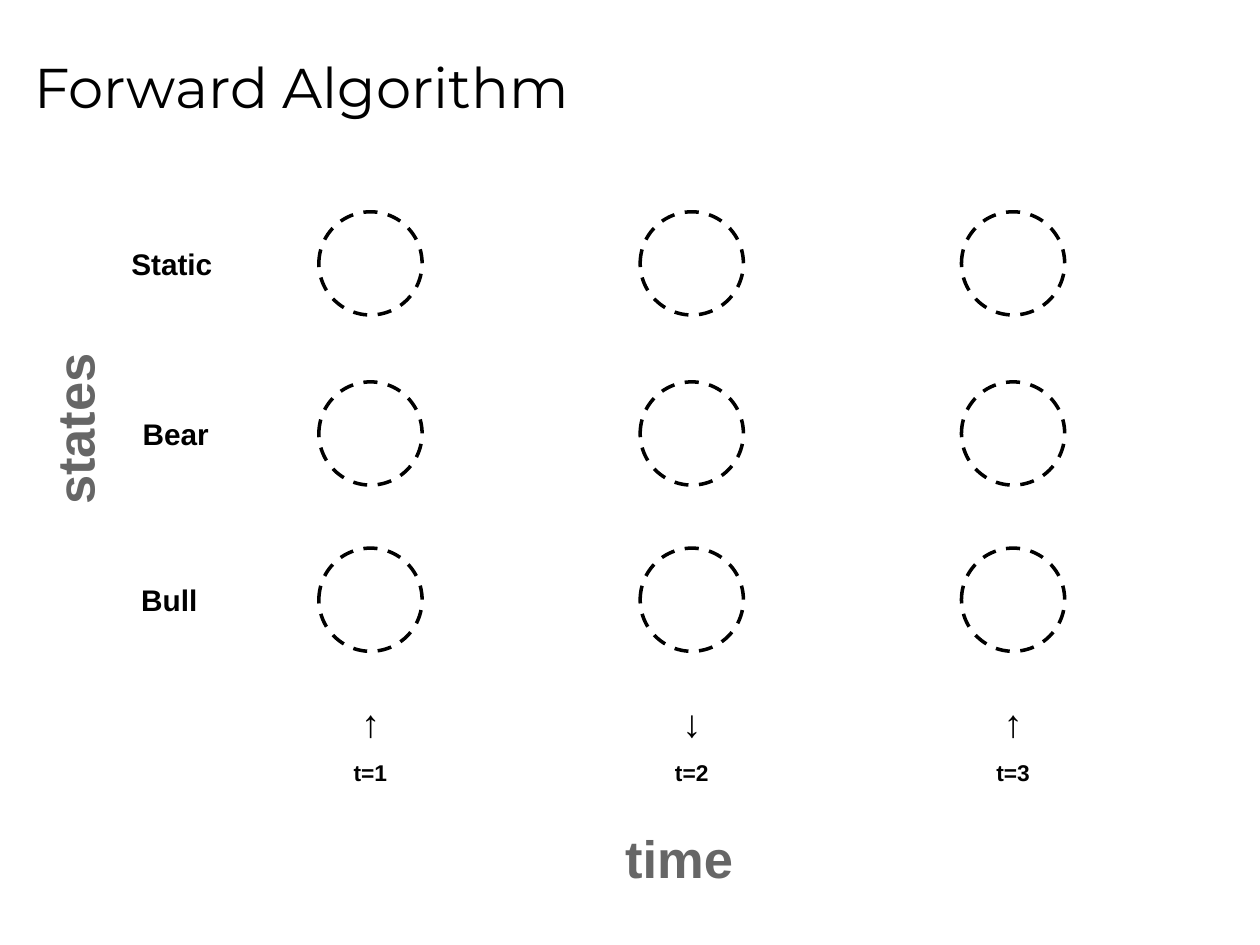
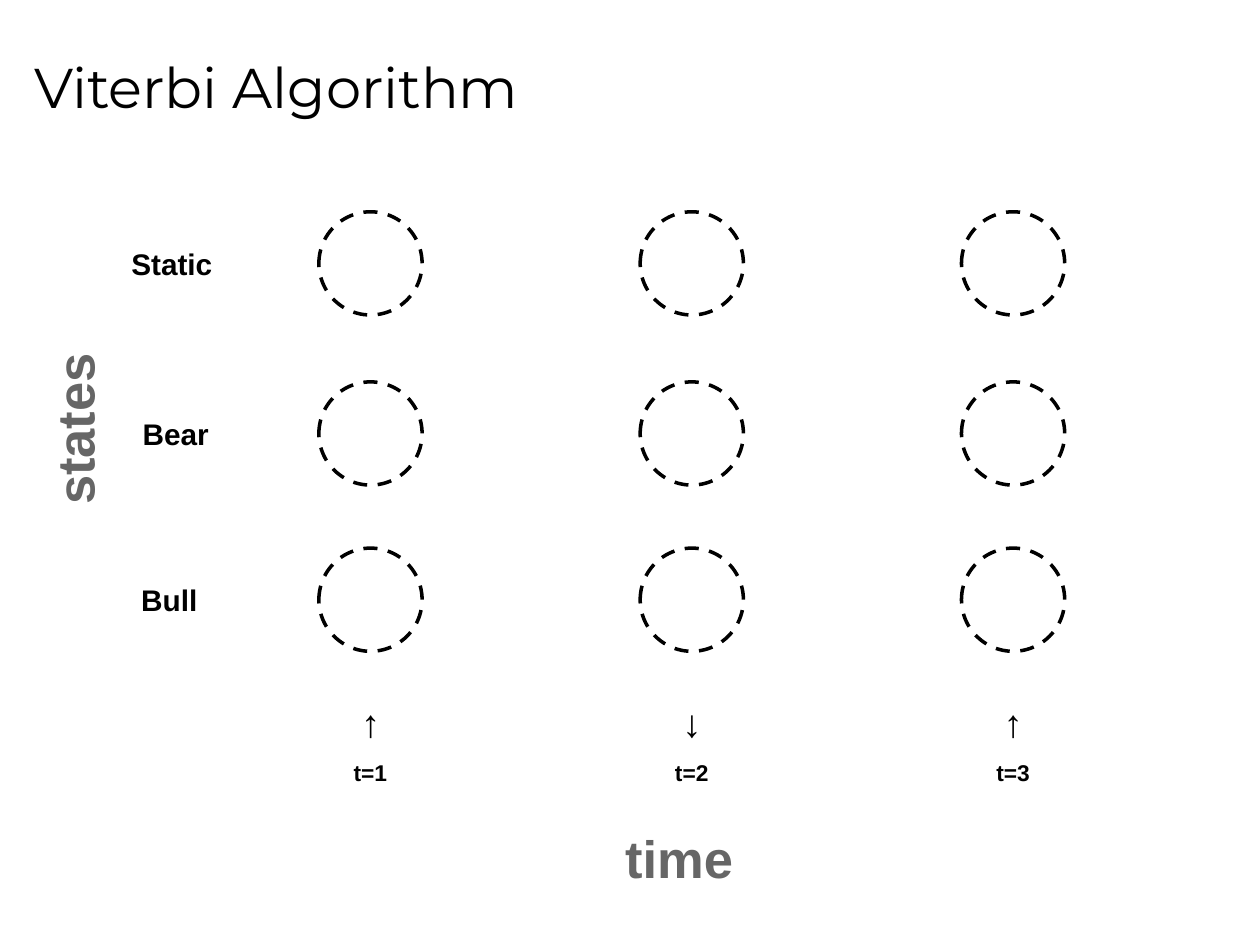
from collections import namedtuple

from lxml.etree import SubElement
from pptx import Presentation
from pptx.dml.color import RGBColor
from pptx.enum.dml import MSO_LINE_DASH_STYLE as DashStyle
from pptx.enum.shapes import MSO_SHAPE as Shape
from pptx.enum.text import MSO_ANCHOR as Anchor
from pptx.enum.text import MSO_AUTO_SIZE as AutoSize
from pptx.enum.text import PP_ALIGN as Align
from pptx.oxml.ns import qn
from pptx.util import Pt

BLACK = RGBColor(0x00, 0x00, 0x00)
GREY = RGBColor(0x66, 0x66, 0x66)
WHITE = RGBColor(0xFF, 0xFF, 0xFF)

Box = namedtuple("Box", "left top width height")
TITLE_BOX = Box(12.24, 8.64, 684, 80.64)
TRELLIS_BOX = Box(182.2, 121, 426.2, 251.2)

TITLE_FONT = {"name": "Montserrat", "size": Pt(32), "bold": False}
AXIS_FONT = {"name": "Arial", "size": Pt(30), "bold": True}
ARROW_FONT = {"name": "Arial", "size": Pt(22), "bold": True}
STATE_FONT = {"name": "Arial", "size": Pt(17), "bold": True}
TIME_FONT = {"name": "Arial", "size": Pt(13), "bold": True}

TITLES = ["Forward Algorithm", "Viterbi Algorithm"]
OBSERVATIONS = ["↑", "↓", "↑"]
NODE_SIZE = 59
# State name, top of its row, label width, label centre left of the trellis
STATES = [("Static", 0, 46.8, 84), ("Bear", 97.2, 38.2, 81.8), ("Bull", 192.2, 32.4, 85.4)]


def set_values(target, values):
    for name, value in values.items():
        setattr(target, name, value)


def style_text(frame, text, font, color, alignment):
    paragraph = frame.paragraphs[0]
    paragraph.alignment = alignment
    run = paragraph.add_run()
    run.text = text
    set_values(run.font, font)
    run.font.color.rgb = color


def add_label(slide, text, center_x, center_y, width, height, font, color=BLACK):
    """Add a text box centred on a point."""
    label = slide.shapes.add_textbox(
        Pt(center_x - width / 2), Pt(center_y - height / 2), Pt(width), Pt(height))
    set_values(label.text_frame, {
        "margin_left": 0, "margin_top": 0, "margin_right": 0, "margin_bottom": 0,
        "word_wrap": False, "vertical_anchor": Anchor.MIDDLE,
        "auto_size": AutoSize.SHAPE_TO_FIT_TEXT})
    style_text(label.text_frame, text, font, color, Align.CENTER)
    return label


def add_title(slide, text, box):
    title = slide.shapes.title
    set_values(title, {name: Pt(value) for name, value in box._asdict().items()})
    set_values(title.text_frame, {
        "margin_left": Pt(7.2), "margin_top": Pt(3.6),
        "margin_right": Pt(7.2), "margin_bottom": Pt(3.6),
        "word_wrap": True, "vertical_anchor": Anchor.MIDDLE, "auto_size": AutoSize.NONE})
    style_text(title.text_frame, text, TITLE_FONT, BLACK, Align.LEFT)


def add_node(slide, left, top, tinted):
    node = slide.shapes.add_shape(Shape.OVAL, Pt(left), Pt(top), Pt(NODE_SIZE), Pt(NODE_SIZE))
    node.shadow.inherit = False
    if tinted:
        node.fill.solid()
        node.fill.fore_color.rgb = WHITE
        color = node.fill._xPr.find(qn("a:solidFill"))[0]
        SubElement(color, qn("a:alpha"), val="19000")
    else:
        node.fill.background()
    node.line.color.rgb = BLACK
    set_values(node.line, {"width": Pt(2), "dash_style": DashStyle.DASH})


def add_trellis(slide, box):
    """Place nodes in the box, with state labels to its left and time below."""
    bottom = box.top + box.height
    pitch = (box.width - NODE_SIZE) / (len(OBSERVATIONS) - 1)
    lefts = [box.left + column * pitch for column in range(len(OBSERVATIONS))]

    # Time axis and observations
    add_label(slide, "time", box.left + box.width / 2 - 7.2, bottom + 117.8,
              61.9, 36.7, AXIS_FONT, GREY)
    for step, (left, arrow) in enumerate(zip(lefts, OBSERVATIONS), start=1):
        center = left + NODE_SIZE / 2
        add_label(slide, arrow, center, bottom + 40.7, 10.8, 26.6, ARROW_FONT)
        add_label(slide, f"t={step}", center, bottom + 69.2, 19.4, 15.8, TIME_FONT)

    # State rows
    for name, row_top, width, offset in STATES:
        top = box.top + row_top
        for left in lefts:
            add_node(slide, left, top, tinted=left == lefts[-1])
        add_label(slide, name, box.left - offset, top + NODE_SIZE / 2,
                  width, 20.9, STATE_FONT)

    # State axis
    axis = add_label(slide, "states", box.left - 140.1, box.top + box.height / 2 - 1.4,
                     87.1, 36.7, AXIS_FONT, GREY)
    axis.rotation = 270


def main():
    presentation = Presentation()
    set_values(presentation, {"slide_width": Pt(720), "slide_height": Pt(540)})
    title_only = presentation.slide_layouts[5]
    for title in TITLES:
        slide = presentation.slides.add_slide(title_only)
        add_title(slide, title, TITLE_BOX)
        add_trellis(slide, TRELLIS_BOX)
    presentation.save("out.pptx")


if __name__ == "__main__":
    main()
